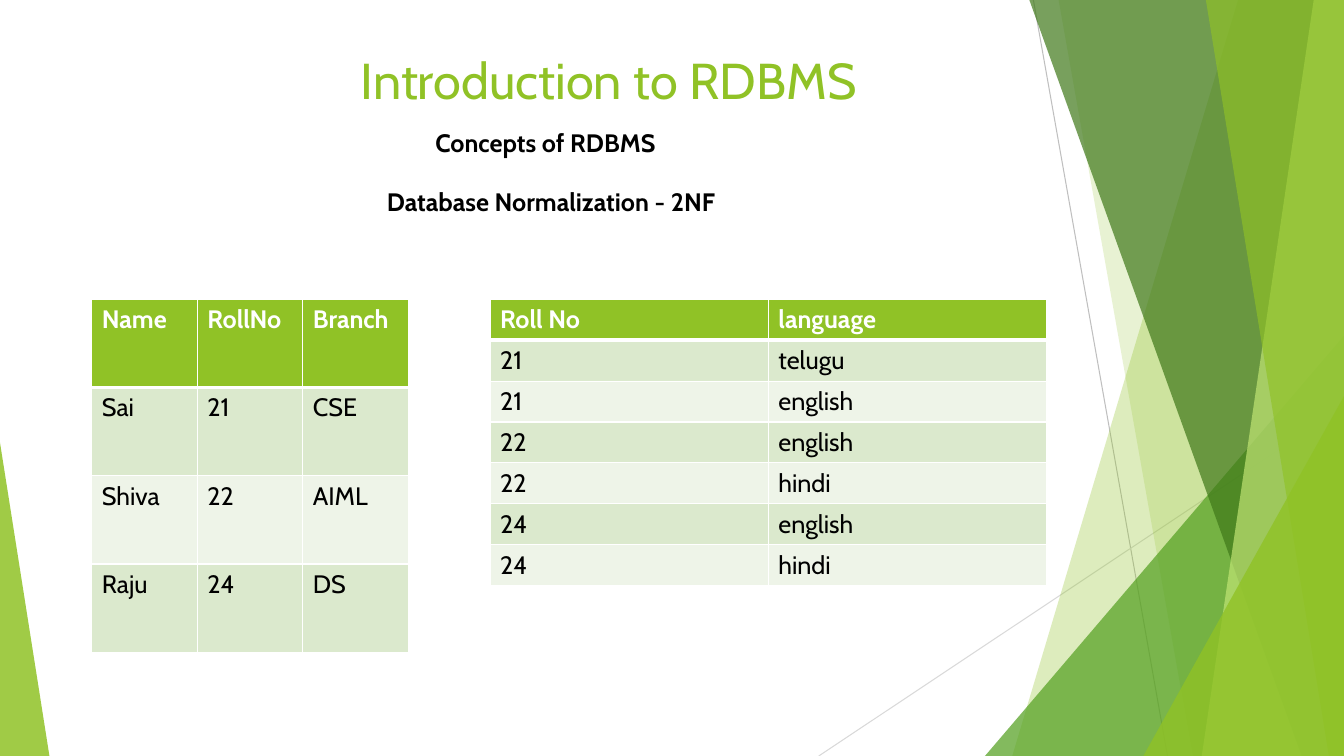
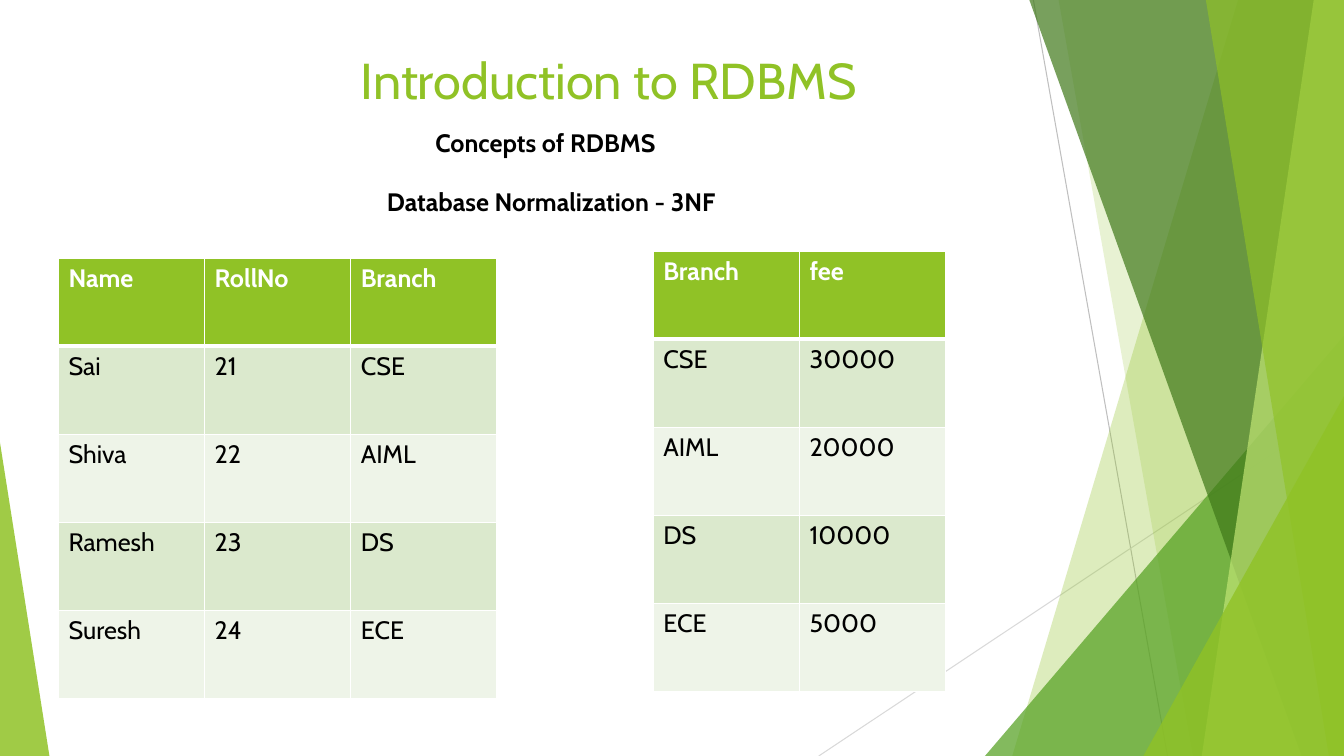
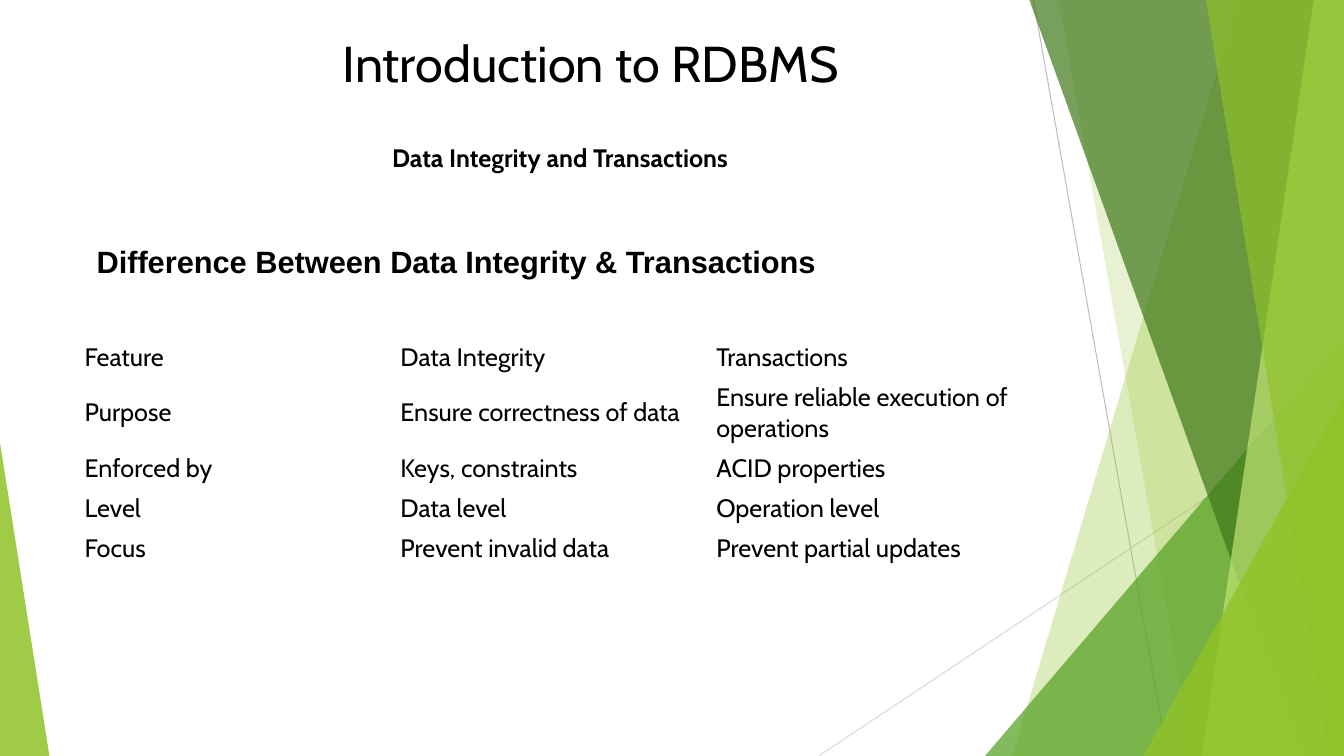
from dataclasses import dataclass
from typing import NamedTuple

import pptx
import pptx.dml.color
import pptx.enum.shapes
import pptx.enum.text
import pptx.oxml
import pptx.oxml.ns
import pptx.util
from lxml import etree

# Shared look
WIDTH, HEIGHT = pptx.util.Inches(13.33), pptx.util.Inches(7.5)
GREEN, BLACK, WHITE = "90C226", "000000", "FFFFFF"
STRIPES = ("DBE9CD", "EEF4E8")
FONT = "Cabin"
qn = pptx.oxml.ns.qn


def px(share: float) -> int:
    """Percent of the slide width."""
    return round(WIDTH * share / 100)


def py(share: float) -> int:
    """Percent of the slide height."""
    return round(HEIGHT * share / 100)


class Box(NamedTuple):
    """Position and size in percent of the slide."""
    x: float
    y: float
    w: float
    h: float

    def emu(self) -> tuple[int, int, int, int]:
        return px(self.x), py(self.y), px(self.w), py(self.h)


class Line(NamedTuple):
    x1: float
    y1: float
    x2: float
    y2: float
    color: str


class Band(NamedTuple):
    """Full-height band from a slanted left side to the right slide edge."""
    top: float
    bottom: float
    color: str
    alpha: int


class Triangle(NamedTuple):
    box: Box
    apex: float
    color: str
    alpha: int


@dataclass
class Label:
    box: Box
    text: str
    indent: float = 0
    size: float = 18
    font: str = FONT


@dataclass
class Grid:
    box: Box
    rows: list[tuple[str, ...]]
    weights: tuple[int, ...] = ()
    plain: bool = False


@dataclass
class Page:
    title_box: Box
    title_color: str
    labels: list[Label]
    grids: list[Grid]


DECORATION = [
    Line(76.89, 0, 86.87, 100, "BFBFBF"),
    Line(100, 53.73, 60.92, 100, "D9D9D9"),
    Band(92.12, 75.32, GREEN, 30),
    Band(78.77, 88.75, GREEN, 20),
    Triangle(Box(73.29, 44.4, 26.71, 55.6), 1, "54A021", 72),
    Band(76.59, 96.85, "3F7819", 70),
    Band(97.75, 89.42, "C0E474", 70),
    Band(89.72, 98.87, GREEN, 65),
    Triangle(Box(85.07, 52.4, 14.93, 47.6), 1, GREEN, 80),
    Triangle(Box(0, 58.53, 3.68, 41.47), 0, GREEN, 85),
]


# Helpers
def rgb(color: str) -> pptx.dml.color.RGBColor:
    return pptx.dml.color.RGBColor.from_string(color)


def style(p, size: float, color: str, bold: bool = False, font: str = FONT) -> None:
    p.font.size = pptx.util.Pt(size)
    p.font.name = font
    p.font.bold = bold
    p.font.color.rgb = rgb(color)


def indent(p, inches: float) -> None:
    pPr = p._p.get_or_add_pPr()
    pPr.set("marL", str(pptx.util.Inches(inches)))
    pPr.set("indent", "0")


def paint(sp, color: str, alpha: int) -> None:
    sp.shadow.inherit = False
    sp.line.fill.background()
    sp.fill.solid()
    sp.fill.fore_color.rgb = rgb(color)
    clr = sp.element.spPr.find(".//" + qn("a:srgbClr"))
    etree.SubElement(clr, qn("a:alpha")).set("val", str(alpha * 1000))


# Background decoration
def add_line(shapes, line: Line) -> None:
    cxn = shapes.add_connector(
        pptx.enum.shapes.MSO_CONNECTOR.STRAIGHT,
        px(line.x1), py(line.y1), px(line.x2), py(line.y2))
    cxn.line.color.rgb = rgb(line.color)
    cxn.line.width = pptx.util.Pt(0.75)
    etree.SubElement(cxn.element.spPr, qn("a:effectLst"))


def add_band(shapes, band: Band) -> None:
    builder = shapes.build_freeform(px(band.top), 0, scale=1.0)
    builder.add_line_segments(
        [(WIDTH, 0), (WIDTH, HEIGHT), (px(band.bottom), HEIGHT)], close=True)
    paint(builder.convert_to_shape(), band.color, band.alpha)


def add_triangle(shapes, tri: Triangle) -> None:
    sp = shapes.add_shape(
        pptx.enum.shapes.MSO_SHAPE.ISOSCELES_TRIANGLE, *tri.box.emu())
    sp.adjustments[0] = tri.apex
    paint(sp, tri.color, tri.alpha)


def decorate(layout, s) -> None:
    """Draw the decoration as a group, then hand it to the layout."""
    draw = {Line: add_line, Band: add_band, Triangle: add_triangle}
    grp = s.shapes.add_group_shape()
    for item in DECORATION:
        draw[type(item)](grp.shapes, item)
    layout.shapes.element.insert(2, grp.element)
    for number, el in enumerate(layout.element.iter(qn("p:cNvPr")), 1):
        el.set("id", str(number))


# Slide content
def set_title(s, box: Box, color: str) -> None:
    sp = s.shapes.title
    sp.left, sp.top, sp.width, sp.height = box.emu()
    tf = sp.text_frame
    tf.text = "Introduction to RDBMS"
    tf.auto_size = pptx.enum.text.MSO_AUTO_SIZE.NONE
    tf.vertical_anchor = pptx.enum.text.MSO_ANCHOR.TOP
    p = tf.paragraphs[0]
    p.alignment = pptx.enum.text.PP_ALIGN.CENTER
    indent(p, 1)
    style(p, 36, color)


def add_label(s, label: Label) -> None:
    tf = s.shapes.add_textbox(*label.box.emu()).text_frame
    tf.word_wrap = True
    p = tf.paragraphs[0]
    p.text = label.text
    indent(p, label.indent)
    style(p, label.size, BLACK, True, label.font)


def add_borders(cell, top: float, bottom: float) -> None:
    tcPr = cell._tc.get_or_add_tcPr()
    for side, width in (("L", 1), ("R", 1), ("T", top), ("B", bottom)):
        ln = etree.SubElement(tcPr, qn(f"a:ln{side}"))
        ln.set("w", str(pptx.util.Pt(width)))
        fill = etree.SubElement(ln, qn("a:solidFill"))
        etree.SubElement(fill, qn("a:srgbClr")).set("val", WHITE)


def add_grid(s, grid: Grid) -> None:
    table = s.shapes.add_table(
        len(grid.rows), len(grid.rows[0]), *grid.box.emu()).table
    table.first_row = not grid.plain
    table.horz_banding = False
    for row, weight in zip(table.rows, grid.weights):
        row.height = round(py(grid.box.h) * weight / sum(grid.weights))
    for i, texts in enumerate(grid.rows):
        header = i == 0 and not grid.plain
        for j, text in enumerate(texts):
            cell = table.cell(i, j)
            cell.text = text
            style(cell.text_frame.paragraphs[0], 18,
                  WHITE if header else BLACK, header)
            if grid.plain:
                cell.vertical_anchor = pptx.enum.text.MSO_ANCHOR.MIDDLE
                cell.fill.background()
                continue
            add_borders(cell, 3 if i == 1 else 1, 3 if header else 1)
            cell.fill.solid()
            cell.fill.fore_color.rgb = rgb(
                GREEN if header else STRIPES[(i - 1) % 2])


def normal_form_page(form: str, grids: list[Grid]) -> Page:
    return Page(Box(6.3, 5.87, 70.5, 9.73), GREEN, [
        Label(Box(9.15, 16.13, 43.8, 9.47), "Concepts of RDBMS", 3),
        Label(Box(8.4, 24, 50, 5.33), f"Database Normalization - {form}", 2.62),
    ], grids)


PAGES = [
    normal_form_page("2NF", [
        Grid(Box(6.83, 39.6, 23.56, 46.67), [
            ("Name", "RollNo", "Branch"),
            ("Sai", "21", "CSE"),
            ("Shiva", "22", "AIML"),
            ("Raju", "24", "DS"),
        ]),
        Grid(Box(36.46, 39.6, 41.41, 37.87), [
            ("Roll No", "language"),
            ("21", "telugu"),
            ("21", "english"),
            ("22", "english"),
            ("22", "hindi"),
            ("24", "english"),
            ("24", "hindi"),
        ]),
    ]),
    normal_form_page("3NF", [
        Grid(Box(4.35, 34.13, 32.63, 58.27), [
            ("Name", "RollNo", "Branch"),
            ("Sai", "21", "CSE"),
            ("Shiva", "22", "AIML"),
            ("Ramesh", "23", "DS"),
            ("Suresh", "24", "ECE"),
        ]),
        Grid(Box(48.61, 33.2, 21.75, 58.27), [
            ("Branch", "fee"),
            ("CSE", "30000"),
            ("AIML", "20000"),
            ("DS", "10000"),
            ("ECE", "5000"),
        ]),
    ]),
    Page(Box(4.95, 3.6, 70.5, 19.2), BLACK, [
        Label(Box(17.18, 18.13, 50, 5.33),
              "Data Integrity and Transactions", 1.5),
        Label(Box(6.45, 31.47, 70.5, 5.87),
              "Difference Between Data Integrity & Transactions",
              size=22, font="Arial"),
    ], [
        Grid(Box(5.55, 44.53, 70.5, 30.67), [
            ("Feature", "Data Integrity", "Transactions"),
            ("Purpose", "Ensure correctness of data",
             "Ensure reliable execution of operations"),
            ("Enforced by", "Keys, constraints", "ACID properties"),
            ("Level", "Data level", "Operation level"),
            ("Focus", "Prevent invalid data", "Prevent partial updates"),
        ], weights=(4, 7, 4, 4, 4), plain=True),
    ]),
]


def main() -> None:
    prs = pptx.Presentation()
    prs.slide_width, prs.slide_height = WIDTH, HEIGHT
    layout = prs.slide_layouts.get_by_name("Title Only")
    slides = [prs.slides.add_slide(layout) for _ in PAGES]
    decorate(layout, slides[0])
    for s, page in zip(slides, PAGES):
        set_title(s, page.title_box, page.title_color)
        for label in page.labels:
            add_label(s, label)
        for grid in page.grids:
            add_grid(s, grid)
    prs.save("out.pptx")


if __name__ == "__main__":
    main()
